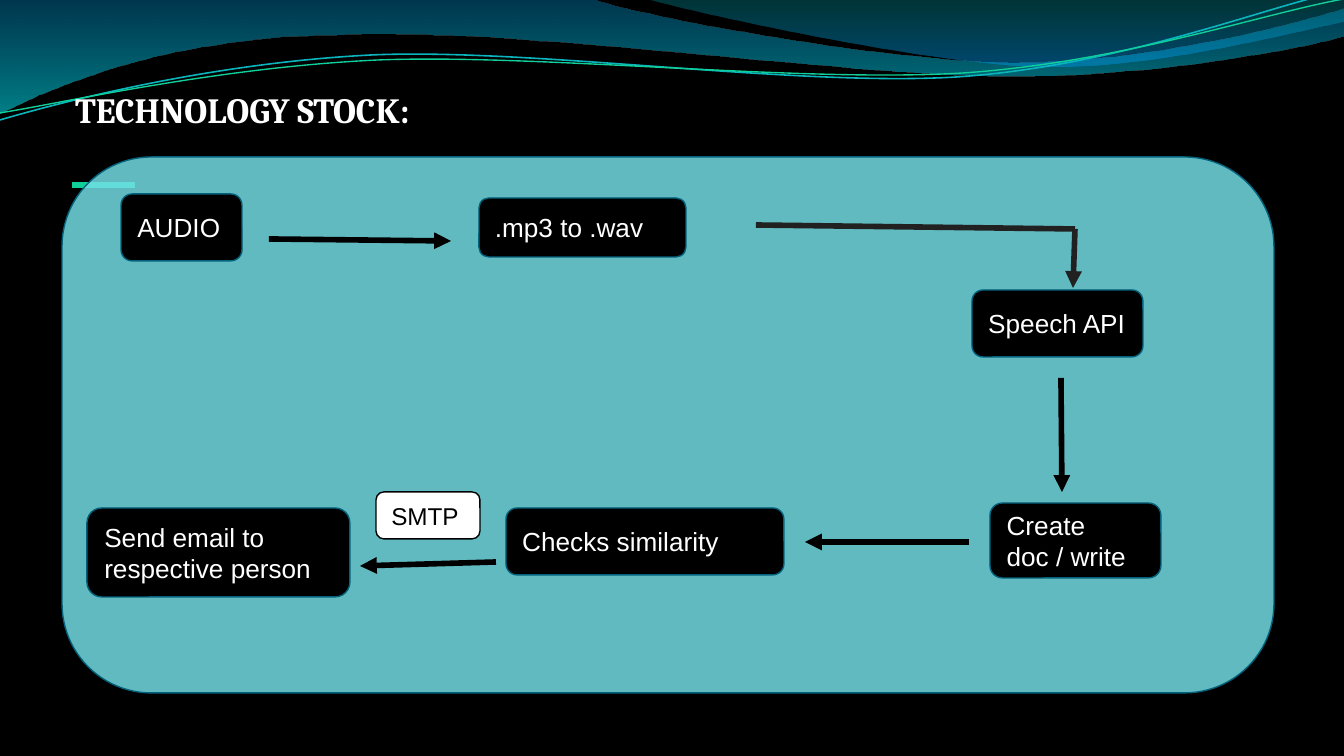
import pptx
import pptx.util
import pptx.dml.color
import pptx.enum.shapes
import pptx.enum.text
import pptx.oxml
import pptx.oxml.ns

PX = 914400 / 134.4  # EMU in one px
A_NS = pptx.oxml.ns.nsdecls("a")
qn = pptx.oxml.ns.qn


def color(hex_string):
    return pptx.dml.color.RGBColor.from_string(hex_string)


def emu(*lengths):
    return [pptx.util.Emu(round(length * PX)) for length in lengths]


presentation = pptx.Presentation()
presentation.slide_width, presentation.slide_height = emu(1344, 756)
slide = presentation.slides.add_slide(presentation.slide_layouts[6])
slide.background.fill.solid()
slide.background.fill.fore_color.rgb = color("000000")

# Header waves: start, then line ends (one point) or curves (three points);
# then gradient stops (position, colour, opacity) or line colour and width
waves = [
    ((0, 0), [
        [(591, -1)],
        [(640, 17), (892, 63), (1019, 63)],
        [(1146, 63), (1288, 26), (1344, 9)],
        [(1345, 36)],
        [(1321, 44), (1169, 77), (1003, 77)],
        [(836, 75), (513, 28), (345, 35)],
        [(173, 36), (62, 83), (-1, 114)],
    ], [(0, "0079AD", 45), (100, "00E9F7", 55)], None),
    ((644, -1), [
        [(684, 11), (917, 62), (1034, 66)],
        [(1150, 70), (1292, 32), (1344, 22)],
        [(1344, 0)],
    ], [(0, "00ABB4", 30), (80, "0099E4", 45), (100, "0099E4", 45)], None),
    ((0, 120), [
        [(65, 101), (212, 63), (372, 55)],
        [(532, 48), (796, 87), (957, 77)],
        [(1120, 66), (1262, 8), (1341, -9)],
    ], None, ("09B6BE", 0.85)),
    ((0, 113), [
        [(63, 103), (220, 67), (380, 60)],
        [(542, 54), (802, 83), (964, 73)],
        [(1124, 62), (1265, 13), (1344, -1)],
    ], None, ("10CF9B", 0.75)),
]
for start, segments, stops, stroke in waves:
    builder = slide.shapes.build_freeform(*emu(*start), scale=1.0)
    builder.add_line_segments(
        [emu(*point) for segment in segments for point in segment], close=bool(stops))
    wave = builder.convert_to_shape()
    wave.shadow.inherit = False
    properties = wave.element.spPr

    # Join each three points of a curve into one Bezier segment
    corners = iter(list(properties.iter(qn("a:lnTo"))))
    for segment in segments:
        group = [next(corners) for point in segment]
        if len(group) == 3:
            curve = pptx.oxml.parse_xml(f"<a:cubicBezTo {A_NS}/>")
            group[0].addprevious(curve)
            for corner in group:
                curve.append(corner[0])
                corner.getparent().remove(corner)

    wave.fill.background()
    if stops:
        wave.line.fill.background()
        stop_xml = "".join(
            f'<a:gs pos="{position * 1000}"><a:srgbClr val="{stop_color}">'
            f'<a:alpha val="{opacity * 1000}"/></a:srgbClr></a:gs>'
            for position, stop_color, opacity in stops)
        gradient = pptx.oxml.parse_xml(
            f'<a:gradFill {A_NS} rotWithShape="1"><a:gsLst>{stop_xml}</a:gsLst>'
            '<a:lin ang="5400000" scaled="0"/></a:gradFill>')
        properties.replace(properties.find(qn("a:noFill")), gradient)
    else:
        wave.line.color.rgb = color(stroke[0])
        wave.line.width = pptx.util.Pt(stroke[1])

# Title
title = slide.shapes.add_textbox(*emu(62, 75, 1392, 70))
title_frame = title.text_frame
title_frame.word_wrap = True
title_frame.margin_left, title_frame.margin_top = emu(13, 13)
title_run = title_frame.paragraphs[0].add_run()
title_run.text = "TECHNOLOGY STOCK:"
title_run.font.name = "Cambria"
title_run.font.size = pptx.util.Pt(19)
title_run.font.bold = True
title_run.font.color.rgb = color("FFFFFF")

# Accent and flow lines: from, to, colour, arrowhead
lines = [
    (72, 185, 135, 185, "10CF9B", False),
    (269, 239, 451, 241, "000000", True),
    (756, 225, 1075, 229, "212121", False),
    (1075, 229, 1073, 288, "212121", True),
    (1061, 378, 1062, 492, "000000", True),
    (969, 542, 805, 542, "000000", True),
    (496, 562, 360, 566, "000000", True),
]
# Panel and steps: left, top, width, height, fill, line, text colour, size, paragraphs
step_style = ("000000", "04617B", "FFFFFF", 14)
boxes = [
    (62, 157, 1212, 536, "74E0E7", "04617B", None, None, []),
    (121, 194, 121, 67, *step_style, ["AUDIO"]),
    (479, 198, 207, 59, *step_style, [".mp3 to .wav"]),
    (972, 290, 171, 67, *step_style, ["Speech API"]),
    (990, 503, 171, 75, *step_style, ["Create", "doc / write"]),
    (506, 508, 278, 67, *step_style, ["Checks similarity"]),
    (87, 508, 263, 89, *step_style, ["Send email to respective person"]),
    (376, 492, 104, 47, "FFFFFF", "000000", "000000", 13, ["SMTP"]),
]

# The accent lies behind the panel, the arrows between the steps and the label
for item in lines[:1] + boxes[:-1] + lines[1:] + boxes[-1:]:
    if len(item) == 6:
        *ends, line_color, has_head = item
        connector = slide.shapes.add_connector(
            pptx.enum.shapes.MSO_CONNECTOR.STRAIGHT, *emu(*ends))
        connector.line.color.rgb = color(line_color)
        connector.line.width = pptx.util.Pt(3)
        properties = connector.element.spPr
        if has_head:
            properties.find(qn("a:ln")).append(
                pptx.oxml.parse_xml(f'<a:tailEnd {A_NS} type="triangle"/>'))
        properties.append(pptx.oxml.parse_xml(f"<a:effectLst {A_NS}/>"))
        continue
    left, top, width, height, fill, outline, text_color, size, texts = item
    box = slide.shapes.add_shape(
        pptx.enum.shapes.MSO_SHAPE.ROUNDED_RECTANGLE, *emu(left, top, width, height))
    box.shadow.inherit = False
    box.fill.solid()
    box.fill.fore_color.rgb = color(fill)
    box.line.color.rgb = color(outline)
    box.line.width = pptx.util.Pt(0.75)
    if not texts:  # the panel is see-through
        box.element.spPr.find(qn("a:solidFill"))[0].append(
            pptx.oxml.parse_xml(f'<a:alpha {A_NS} val="83000"/>'))
    frame = box.text_frame
    frame.word_wrap = True
    frame.vertical_anchor = pptx.enum.text.MSO_ANCHOR.MIDDLE
    frame.margin_left, frame.margin_top, frame.margin_right, frame.margin_bottom = emu(13, 13, 13, 13)
    for index, text in enumerate(texts):
        paragraph = frame.add_paragraph() if index else frame.paragraphs[0]
        paragraph.alignment = pptx.enum.text.PP_ALIGN.LEFT
        run = paragraph.add_run()
        run.text = text
        run.font.name = "Arial"
        run.font.size = pptx.util.Pt(size)
        run.font.color.rgb = color(text_color)

presentation.save("out.pptx")
